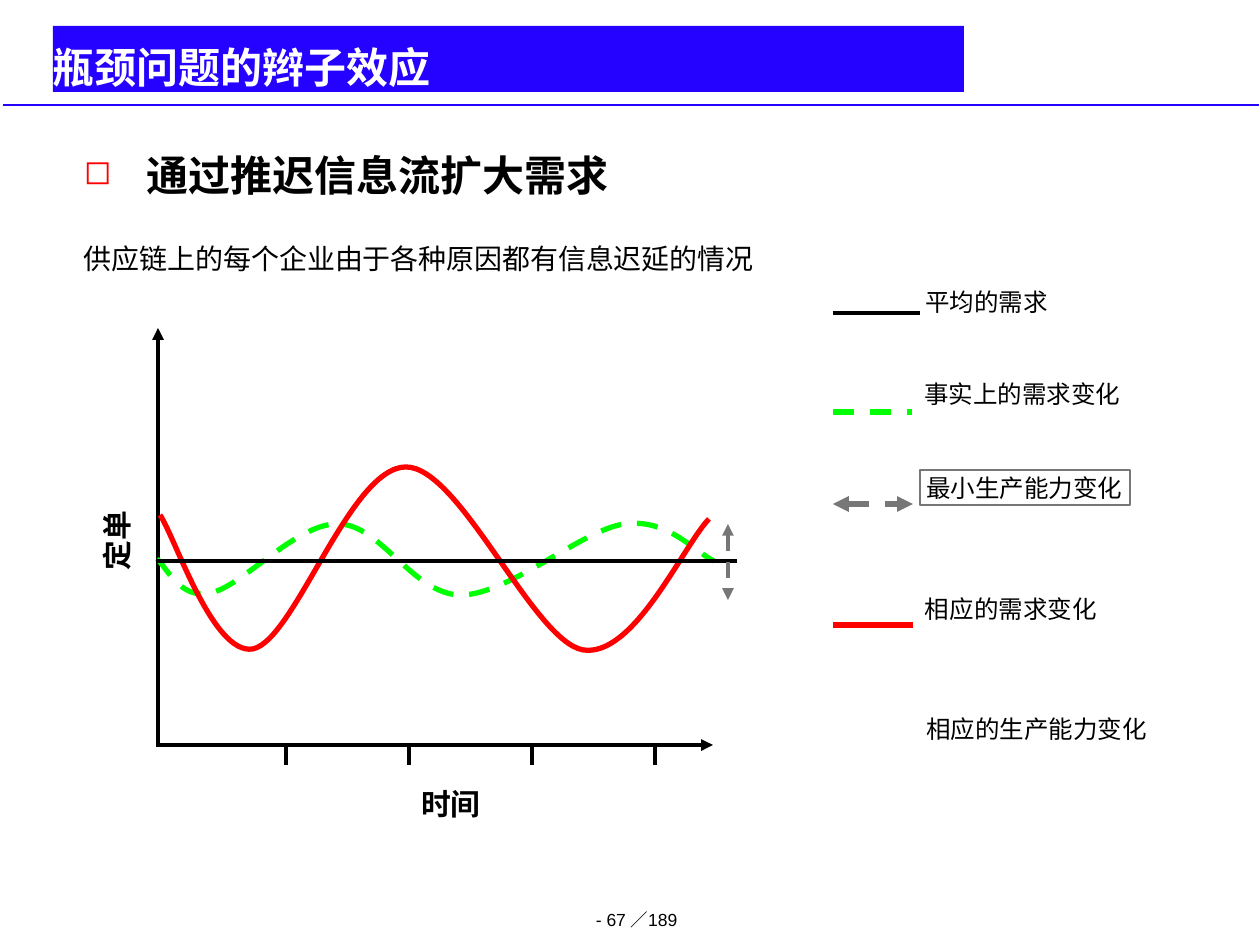
import pptx
import pptx.util
import pptx.dml.color
import pptx.enum.dml
import pptx.enum.shapes
import pptx.enum.text
import pptx.oxml.ns
import lxml.etree

PX = 914400 / 126
FONT = "Arial"
rgb = pptx.dml.color.RGBColor.from_string
qn = pptx.oxml.ns.qn
DASH = pptx.enum.dml.MSO_LINE.DASH
LEFT = pptx.enum.text.PP_ALIGN.LEFT
CENTER = pptx.enum.text.PP_ALIGN.CENTER

presentation = pptx.Presentation()
presentation.slide_width = pptx.util.Inches(10)
presentation.slide_height = pptx.util.Inches(7.5)
slide = presentation.slides.add_slide(presentation.slide_layouts[5])


def add_line(start, end, color, width, dash=None, arrows=()):
    points = [round(value * PX) for value in (*start, *end)]
    connector = slide.shapes.add_connector(pptx.enum.shapes.MSO_CONNECTOR.STRAIGHT, *points)
    connector.line.color.rgb = rgb(color)
    connector.line.width = pptx.util.Pt(width)
    connector.line.dash_style = dash
    line = connector.line._get_or_add_ln()
    for arrow in arrows:
        lxml.etree.SubElement(line, qn(f"a:{arrow}"), type="triangle")
    lxml.etree.SubElement(connector._element.spPr, qn("a:effectLst"))


def add_text(text, box, size, bold=False, margins=(0, 0), wrap=False, align=LEFT):
    shape = slide.shapes.add_textbox(*[round(value * PX) for value in box])
    frame = shape.text_frame
    frame.word_wrap = wrap
    frame.margin_left = frame.margin_right = round(margins[0] * PX)
    frame.margin_top = frame.margin_bottom = round(margins[1] * PX)
    paragraph = frame.paragraphs[0]
    paragraph.alignment = align
    run = paragraph.add_run()
    run.text = text
    run.font.name = FONT
    run.font.size = pptx.util.Pt(size)
    run.font.bold = bold
    run.font.color.rgb = rgb("000000")
    return shape


add_text("- 67 ／189", (564, 909, 145, 42), 10, wrap=True, align=CENTER)
add_line((3, 105), (1259, 105), "2501FF", 1)

title = slide.shapes.title
title.left, title.top, title.width, title.height = [round(value * PX) for value in (53, 26, 911, 66)]
title.fill.solid()
title.fill.fore_color.rgb = rgb("2501FF")
frame = title.text_frame
frame.auto_size = pptx.enum.text.MSO_AUTO_SIZE.NONE
frame.vertical_anchor = pptx.enum.text.MSO_ANCHOR.TOP
frame.margin_left = frame.margin_right = frame.margin_top = frame.margin_bottom = 0
paragraph = frame.paragraphs[0]
paragraph.alignment = pptx.enum.text.PP_ALIGN.JUSTIFY
paragraph.line_spacing = 1.3
run = paragraph.add_run()
run.text = "瓶颈问题的辫子效应"
run.font.name = FONT
run.font.size = pptx.util.Pt(24)
run.font.bold = True
run.font.color.rgb = rgb("FFFFFF")

add_line((158, 745), (158, 328), "000000", 2.25, arrows=["tailEnd"])
add_line((156, 745), (713, 745), "000000", 2.25, arrows=["tailEnd"])
for tick in range(4):
    x = 286 + 123 * tick
    add_line((x, 765), (x, 744), "000000", 2)
order_label = add_text("定单", (76, 517, 82, 47), 17, bold=True, margins=(11, 5))
order_label.rotation = 270
add_text("时间", (410, 781, 82, 47), 17, bold=True, margins=(11, 5))

actual_demand = [(157, 559), (166, 566), (180, 600), (210, 593), (241, 588), (296, 523), (338, 524),
                 (381, 524), (413, 595), (461, 595), (509, 595), (583, 529), (625, 524),
                 (668, 518), (696, 553), (714, 561)]
induced_demand = [(160, 515), (175, 537), (213, 656), (253, 649), (295, 640), (350, 467), (406, 467),
                  (460, 467), (533, 641), (583, 650), (634, 658), (683, 546), (709, 519)]
for controls, color, dash in [(actual_demand, "00FF00", DASH), (induced_demand, "FF0000", None)]:
    builder = slide.shapes.build_freeform(*controls[0], scale=PX)
    builder.add_line_segments(controls[1:], close=False)
    curve = builder.convert_to_shape()
    segments = list(curve._element.iter(qn("a:lnTo")))
    for first in range(0, len(segments), 3):
        bezier = lxml.etree.Element(qn("a:cubicBezTo"))
        segments[first].addprevious(bezier)
        for segment in segments[first:first + 3]:
            bezier.append(segment[0])
            segment.getparent().remove(segment)
    curve.shadow.inherit = False
    curve.fill.background()
    curve.line.color.rgb = rgb(color)
    curve.line.width = pptx.util.Pt(3)
    curve.line.dash_style = dash

BOTH_ENDS = ["headEnd", "tailEnd"]
add_line((156, 561), (737, 561), "000000", 2.25)
add_line((728, 524), (728, 600), "777777", 2.25, DASH, BOTH_ENDS)

add_line((833, 313), (920, 313), "000000", 2.25)
add_line((833, 412), (912, 412), "00FF00", 3, DASH)
add_line((833, 504), (913, 504), "777777", 3, DASH, BOTH_ENDS)
add_line((833, 625), (913, 625), "FF0000", 3)
for text, left, top, width, border in [
    ("平均的需求", 919, 284, 135, None),
    ("事实上的需求变化", 918, 376, 210, None),
    ("最小生产能力变化", 920, 470, 210, "777777"),
    ("相应的需求变化", 919, 591, 186, None),
    ("相应的生产能力变化", 920, 711, 236, None),
]:
    label = add_text(text, (left, top, width, 35), 14, margins=(6, 3))
    if border:
        label.line.color.rgb = rgb(border)
        label.line.width = pptx.util.Pt(1)

add_text("供应链上的每个企业由于各种原因都有信息迟延的情况", (84, 242, 725, 34), 16, wrap=True)
heading = add_text("通过推迟信息流扩大需求", (84, 147, 745, 53), 24, bold=True, wrap=True)
paragraph = heading.text_frame.paragraphs[0]
paragraph.line_spacing = pptx.util.Pt(30)
properties = paragraph._p.get_or_add_pPr()
properties.set("marL", str(round(63 * PX)))
properties.set("indent", str(round(-63 * PX)))
bullet_color = lxml.etree.SubElement(properties, qn("a:buClr"))
lxml.etree.SubElement(bullet_color, qn("a:srgbClr"), val="FF0000")
lxml.etree.SubElement(properties, qn("a:buSzPct"), val="80000")
lxml.etree.SubElement(properties, qn("a:buChar"), char="◻")

presentation.save("out.pptx")
